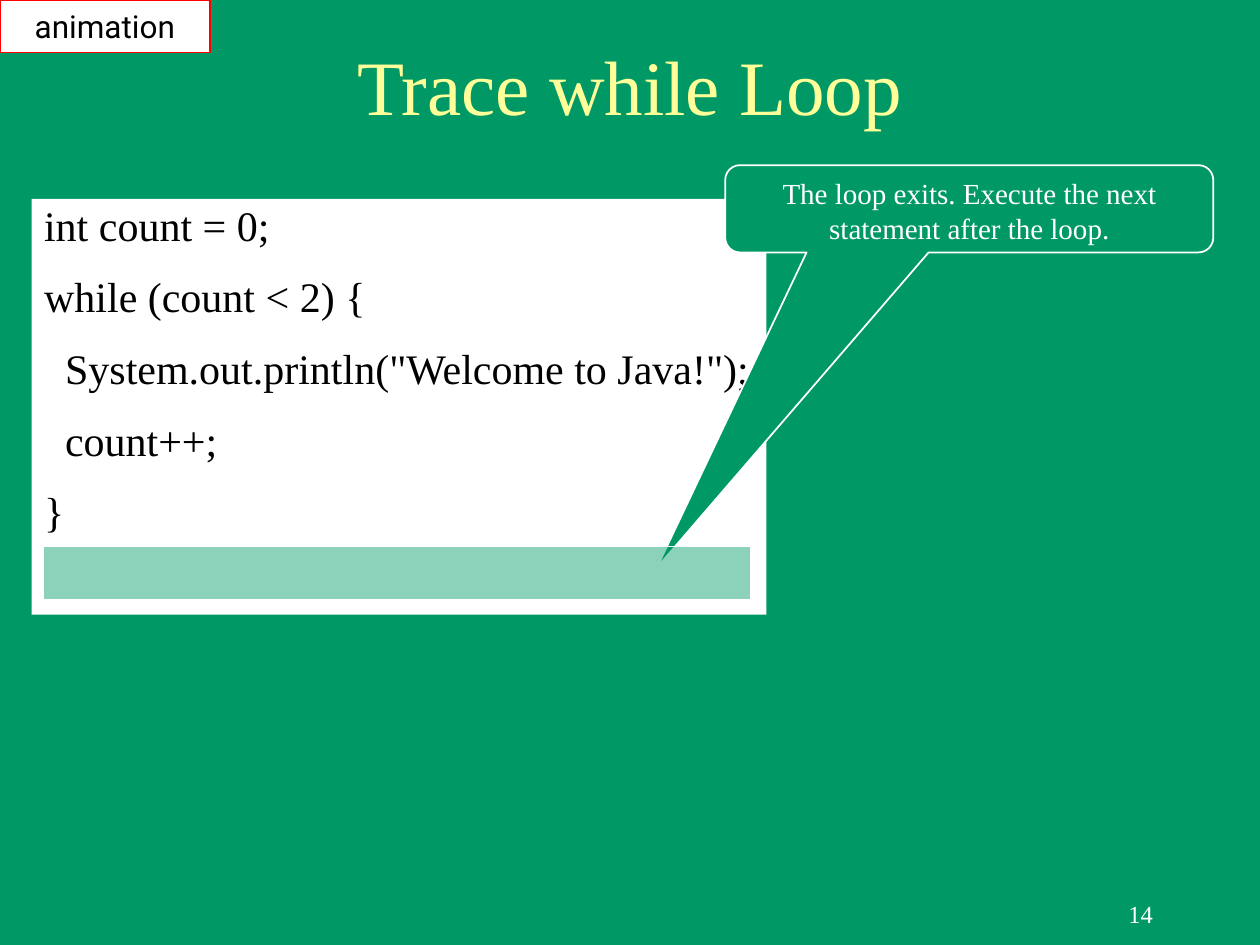
import pptx
import pptx.dml.color
import pptx.enum.shapes
import pptx.enum.text
import pptx.oxml
import pptx.oxml.ns
import pptx.util
from pptx.util import Cm

SHAPES = pptx.enum.shapes.MSO_SHAPE
ALIGN = pptx.enum.text.PP_ALIGN
ANCHOR = pptx.enum.text.MSO_ANCHOR

GREEN = "009966"
WHITE = "FFFFFF"
BLACK = "000000"
SERIF = "Times New Roman"

CODE = [
    "int count = 0;",
    "while (count < 2) {",
    '  System.out.println("Welcome to Java!");',
    "  count++;",
    "}",
]


def set_color(color_format, hex_color):
    color_format.rgb = pptx.dml.color.RGBColor.from_string(hex_color)


def set_fill(fill, hex_color):
    fill.solid()
    set_color(fill.fore_color, hex_color)


def set_opacity(shape, percent):
    color = shape.fill._xPr.find(".//" + pptx.oxml.ns.qn("a:srgbClr"))
    color.append(pptx.oxml.parse_xml(
        f'<a:alpha {pptx.oxml.ns.nsdecls("a")} val="{percent * 1000}"/>'))


def write_text(shape, lines, size, color, font=SERIF, align=ALIGN.CENTER,
               anchor=ANCHOR.MIDDLE):
    frame = shape.text_frame
    frame.text = "\n".join(lines)
    frame.word_wrap = True
    frame.vertical_anchor = anchor
    for paragraph in frame.paragraphs:
        paragraph.alignment = align
        for run in paragraph.runs:
            run.font.name = font
            run.font.size = pptx.util.Pt(size)
            set_color(run.font.color, color)


def add_text(slide, box, text, size, color, align):
    shape = slide.shapes.add_textbox(*map(Cm, box))
    write_text(shape, [text], size, color, align=align)


def add_panel(slide, kind, box, fill, line=None):
    shape = slide.shapes.add_shape(kind, *map(Cm, box))
    shape.shadow.inherit = False
    set_fill(shape.fill, fill)
    if line:
        set_color(shape.line.color, line)
        shape.line.width = pptx.util.Pt(1)
    else:
        shape.line.fill.background()
    return shape


def add_code(slide):
    panel = add_panel(slide, SHAPES.RECTANGLE, (0.64, 4.01, 14.81, 8.38), WHITE)
    write_text(panel, CODE, 24, BLACK, align=ALIGN.LEFT, anchor=ANCHOR.TOP)
    for index, paragraph in enumerate(panel.text_frame.paragraphs):
        paragraph.line_spacing = 0.9
        paragraph.space_before = pptx.util.Pt(15 if index else 0)


def add_callout(slide):
    callout = add_panel(slide, SHAPES.ROUNDED_RECTANGULAR_CALLOUT,
                        (14.62, 3.33, 9.84, 1.76), GREEN, WHITE)
    for index, value in enumerate((-0.64, 4.11, 0.17)):
        callout.adjustments[index] = value
    write_text(callout, ["The loop exits. Execute the next statement after the loop."],
               16.6, WHITE, anchor=ANCHOR.TOP)


def add_highlight(slide):
    highlight = add_panel(slide, SHAPES.RECTANGLE, (0.87, 11.02, 14.27, 1.07),
                          GREEN, WHITE)
    set_opacity(highlight, 45)


def add_tag(slide):
    tag = add_panel(slide, SHAPES.RECTANGLE, (0, 0, 4.23, 1.06), WHITE, "FF0000")
    write_text(tag, ["animation"], 18, BLACK, font="Roboto")


def main():
    presentation = pptx.Presentation()
    presentation.slide_width = Cm(25.4)
    presentation.slide_height = Cm(19.05)
    slide = presentation.slides.add_slide(presentation.slide_layouts[6])
    set_fill(slide.background.fill, GREEN)

    add_text(slide, (18.2, 17.78, 5.29, 1.27), "14", 14, WHITE, ALIGN.RIGHT)
    add_text(slide, (1.9, 0.64, 21.6, 2.12), "Trace while Loop", 44, "FFFF99",
             ALIGN.CENTER)
    add_code(slide)
    add_callout(slide)
    add_highlight(slide)
    add_tag(slide)
    presentation.save("out.pptx")


if __name__ == "__main__":
    main()
